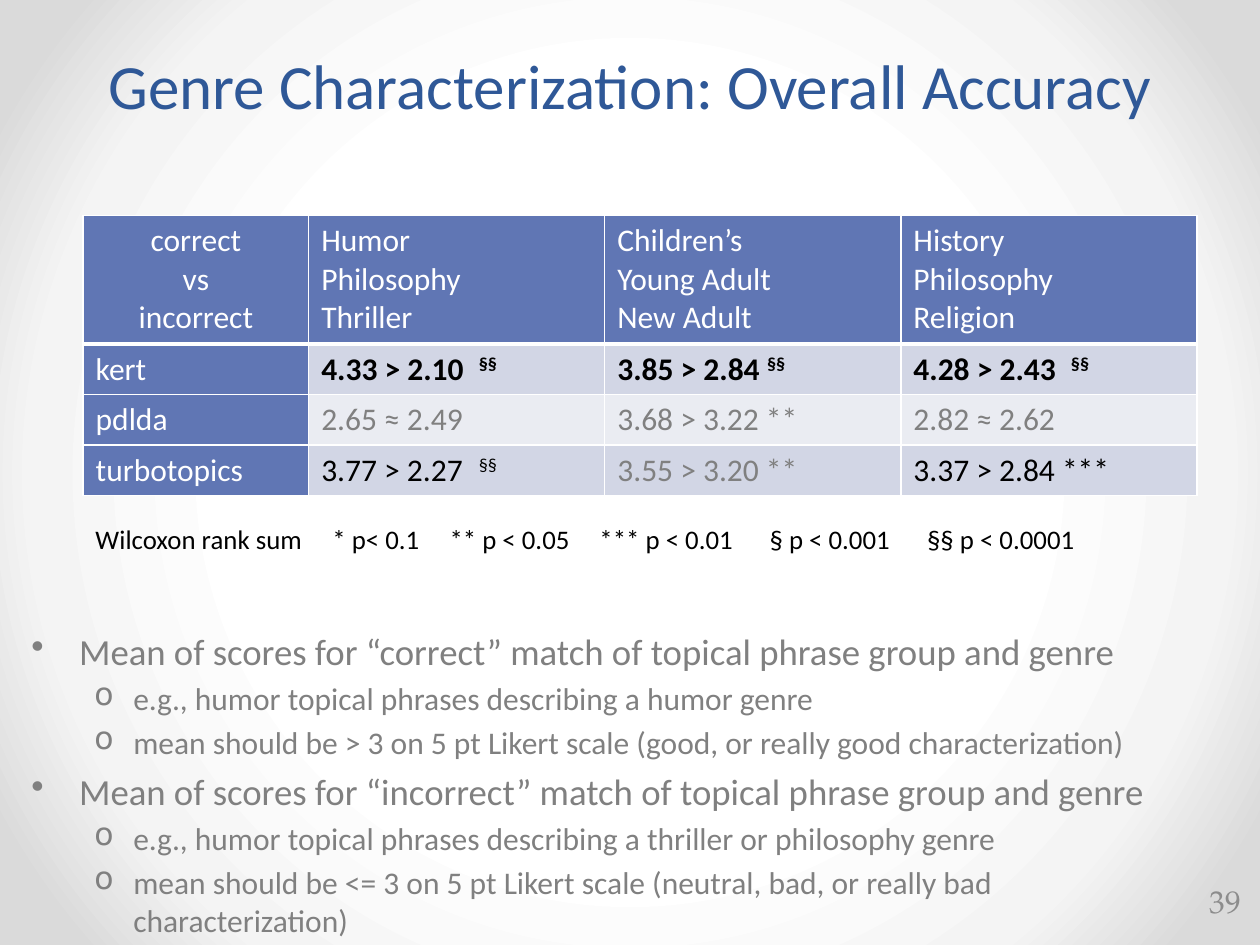
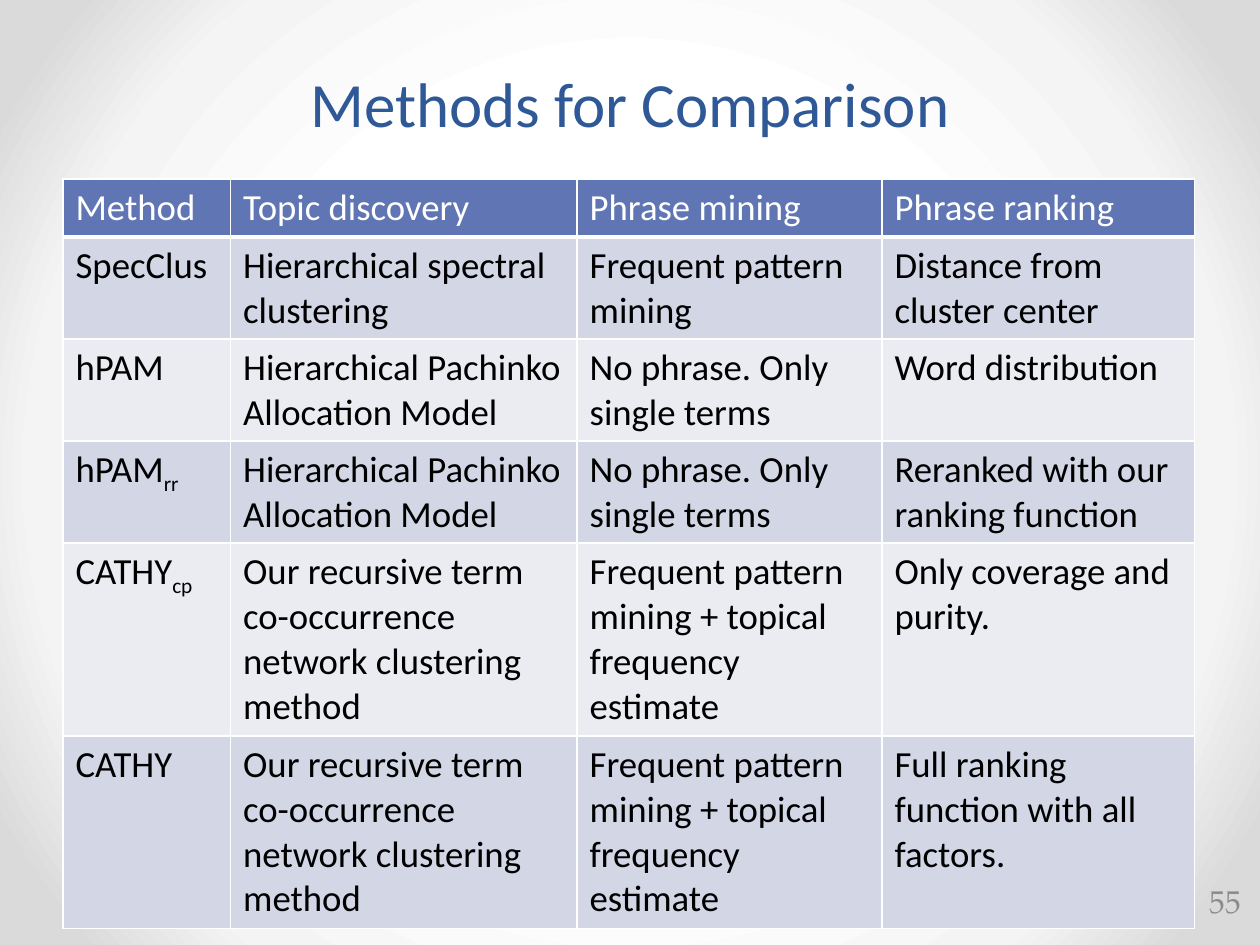
from dataclasses import dataclass

from lxml.etree import SubElement
from pptx import Presentation
from pptx.dml.color import RGBColor
from pptx.enum.text import MSO_ANCHOR, MSO_AUTO_SIZE, PP_ALIGN
from pptx.oxml import parse_xml
from pptx.oxml.ns import nsdecls, qn
from pptx.util import Inches, Pt

LEFT, CENTER, RIGHT = PP_ALIGN.LEFT, PP_ALIGN.CENTER, PP_ALIGN.RIGHT
TOP, MIDDLE, BOTTOM = MSO_ANCHOR.TOP, MSO_ANCHOR.MIDDLE, MSO_ANCHOR.BOTTOM
NO_AUTOFIT = MSO_AUTO_SIZE.NONE

BODY_FONT = "Calibri"
NUMBER_FONT = "TeX Gyre Pagella"
TITLE_BLUE = "2F5897"
HEADER_BLUE = "6076B4"
BANDS = ("D2D6E5", "EAECF2")
WHITE, BLACK, GRAY, NUMBER_GRAY = "FFFFFF", "000000", "808080", "8C8C8C"
BACKGROUND_STOPS = ((50, "FFFFFF"), (76, "F4F4F4"), (92, "DADADA"))
TITLE_ONLY = 5
MARK_TAB = 1.25
SUPERSCRIPT, SUBSCRIPT = 30, -25


@dataclass
class Span:
    text: str
    color: str = BLACK
    bold: bool = False
    baseline: int = 0


def rgb(color):
    return RGBColor.from_string(color)


def set_background(master):
    master.background.fill.solid()
    properties = master.background._cSld.find(qn("p:bg")).find(qn("p:bgPr"))
    stops = "".join(
        f'<a:gs pos="{position * 1000}"><a:srgbClr val="{color}"/></a:gs>'
        for position, color in BACKGROUND_STOPS)
    gradient = parse_xml(
        f'<a:gradFill {nsdecls("a")} rotWithShape="1"><a:gsLst>{stops}</a:gsLst>'
        '<a:path path="circle">'
        '<a:fillToRect l="50000" t="50000" r="50000" b="50000"/></a:path></a:gradFill>')
    properties.replace(properties.find(qn("a:solidFill")), gradient)


def add_span(para, span, size, font=BODY_FONT):
    run = para.add_run()
    run.text = span.text
    run.font.name = font
    run.font.size = Pt(size)
    run.font.bold = span.bold
    run.font.color.rgb = rgb(span.color)
    if span.baseline:
        run.font._element.set("baseline", str(span.baseline * 1000))


def add_tabs(para, positions):
    tabs = SubElement(para._p.get_or_add_pPr(), qn("a:tabLst"))
    for position in positions:
        SubElement(tabs, qn("a:tab"), pos=str(Inches(position)), algn="l")


def add_bullet(para, symbol, left, hanging):
    properties = para._p.get_or_add_pPr()
    properties.set("marL", str(Inches(left)))
    properties.set("indent", str(-Inches(hanging)))
    SubElement(properties, qn("a:buChar"), char=symbol)


def add_box(page, left, top, width, height, anchor=TOP):
    box = page.shapes.add_textbox(Inches(left), Inches(top), Inches(width), Inches(height))
    box.text_frame.word_wrap = True
    box.text_frame.vertical_anchor = anchor
    return box.text_frame


def add_page(deck, title, title_height, number):
    page = deck.slides.add_slide(deck.slide_layouts[TITLE_ONLY])
    heading = page.shapes.title
    heading.left, heading.top = Inches(0.5), Inches(0)
    heading.width, heading.height = Inches(9), Inches(title_height)
    frame = heading.text_frame
    frame.auto_size = NO_AUTOFIT
    frame.vertical_anchor = BOTTOM
    para = frame.paragraphs[0]
    para.alignment = CENTER
    para.line_spacing = Pt(58)
    add_span(para, Span(title, TITLE_BLUE), 36)

    para = add_box(page, 9.34, 6.95, 0.61, 0.4, MIDDLE).paragraphs[0]
    para.alignment = RIGHT
    add_span(para, Span(number, NUMBER_GRAY), 18, NUMBER_FONT)
    return page


def set_borders(cell, bottom_width):
    properties = cell._tc.get_or_add_tcPr()
    widths = {"lnL": 1, "lnR": 1, "lnT": 1, "lnB": bottom_width}
    for index, (side, width) in enumerate(widths.items()):
        properties.insert(index, parse_xml(
            f'<a:{side} {nsdecls("a")} w="{Pt(width)}"><a:solidFill>'
            f'<a:srgbClr val="{WHITE}"/></a:solidFill></a:{side}>'))


def fill_cell(cell, content, size, fill, color, bottom_width, alignment):
    cell.fill.solid()
    cell.fill.fore_color.rgb = rgb(fill)
    set_borders(cell, bottom_width)
    if isinstance(content, str):
        lines = [[Span(line, color)] for line in content.split("\n")]
    else:
        lines = [content]
    frame = cell.text_frame
    for index, spans in enumerate(lines):
        para = frame.paragraphs[0] if index == 0 else frame.add_paragraph()
        para.alignment = alignment
        if any("\t" in span.text for span in spans):
            add_tabs(para, [MARK_TAB])
        for span in spans:
            add_span(para, span, size)


def add_grid(page, left, top, widths, heights, rows, size, label_column=False):
    table = page.shapes.add_table(
        len(rows), len(widths), Inches(left), Inches(top),
        Inches(sum(widths)), Inches(sum(heights))).table
    for column, width in zip(table.columns, widths):
        column.width = Inches(width)
    for row, height in zip(table.rows, heights):
        row.height = Inches(height)
    for row_index, contents in enumerate(rows):
        for column_index, content in enumerate(contents):
            is_header = row_index == 0
            is_label = label_column and column_index == 0
            colored = is_header or is_label
            fill_cell(
                table.cell(row_index, column_index), content, size,
                HEADER_BLUE if colored else BANDS[(row_index - 1) % 2],
                WHITE if colored else BLACK,
                3 if is_header else 1,
                CENTER if is_header and is_label else LEFT)


def score(text, mark="", color=BLACK, bold=False):
    spans = [Span(text, color, bold)]
    if mark:
        spans.append(Span(mark, color, bold, SUPERSCRIPT))
    return spans


def method(name, variant):
    return [Span(name), Span(variant, baseline=SUBSCRIPT)]


def add_accuracy_page(deck):
    page = add_page(deck, "Genre Characterization: Overall Accuracy", 1.02, "39")
    rows = [
        ["correct\nvs\nincorrect", "Humor\nPhilosophy\nThriller",
         "Children’s\nYoung Adult\nNew Adult", "History\nPhilosophy\nReligion"],
        ["kert", score("4.33 > 2.10\t", "§§", bold=True),
         score("3.85 > 2.84 ", "§§", bold=True), score("4.28 > 2.43\t", "§§", bold=True)],
        ["pdlda", score("2.65 ≈ 2.49", color=GRAY),
         score("3.68 > 3.22 **", color=GRAY), score("2.82 ≈ 2.62", color=GRAY)],
        ["turbotopics", score("3.77 > 2.27\t", "§§"),
         score("3.55 > 3.20 **", color=GRAY), score("3.37 > 2.84 ***")],
    ]
    add_grid(page, 0.66, 1.71, [1.79] + [2.35] * 3, [1.02] + [0.4] * 3, rows, 18, True)

    legend = add_box(page, 0.66, 4.1, 8.84, 0.51).paragraphs[0]
    add_tabs(legend, [1.88, 2.81, 4, 5.35, 6.6])
    add_span(legend, Span("\t".join([
        "Wilcoxon rank sum", "* p< 0.1", "** p < 0.05", "*** p < 0.01",
        "§ p < 0.001", "§§ p < 0.0001"])), 15.3)

    notes = [
        (0, "Mean of scores for “correct” match of topical phrase group and genre"),
        (1, "e.g., humor topical phrases describing a humor genre"),
        (1, "mean should be > 3 on 5 pt Likert scale (good, or really good characterization)"),
        (0, "Mean of scores for “incorrect” match of topical phrase group and genre"),
        (1, "e.g., humor topical phrases describing a thriller or philosophy genre"),
        (1, "mean should be <= 3 on 5 pt Likert scale (neutral, bad, or really bad "
            "characterization)"),
    ]
    levels = [("•", 0.38, 0.38, 21), ("o", 0.81, 0.31, 18)]
    frame = add_box(page, 0.15, 4.94, 9.5, 2.42)
    for index, (level, text) in enumerate(notes):
        symbol, left, hanging, size = levels[level]
        para = frame.paragraphs[0] if index == 0 else frame.add_paragraph()
        para.level = level
        if index:
            para.space_before = Pt(size * 0.2)
        add_bullet(para, symbol, left, hanging)
        add_span(para, Span(text, GRAY), size)


def add_methods_page(deck):
    page = add_page(deck, "Methods for Comparison", 1.16, "55")
    pachinko = "Hierarchical Pachinko Allocation Model"
    single_terms = "No phrase. Only single terms"
    recursive = "Our recursive term co-occurrence network clustering method"
    topical = "Frequent pattern mining + topical frequency estimate"
    rows = [
        ["Method", "Topic discovery", "Phrase mining", "Phrase ranking"],
        ["SpecClus", "Hierarchical spectral clustering", "Frequent pattern mining",
         "Distance from cluster center"],
        ["hPAM", pachinko, single_terms, "Word distribution"],
        [method("hPAM", "rr"), pachinko, single_terms, "Reranked with our ranking function"],
        [method("CATHY", "cp"), recursive, topical, "Only coverage and purity."],
        ["CATHY", recursive, topical, "Full ranking function with all factors."],
    ]
    heights = [0.46] + [0.81] * 3 + [1.53] * 2
    add_grid(page, 0.5, 1.42, [1.33, 2.75, 2.42, 2.48], heights, rows, 21)


def main():
    deck = Presentation()
    deck.slide_width, deck.slide_height = Inches(10), Inches(7.5)
    set_background(deck.slide_master)
    add_accuracy_page(deck)
    add_methods_page(deck)
    deck.save("out.pptx")


if __name__ == "__main__":
    main()
